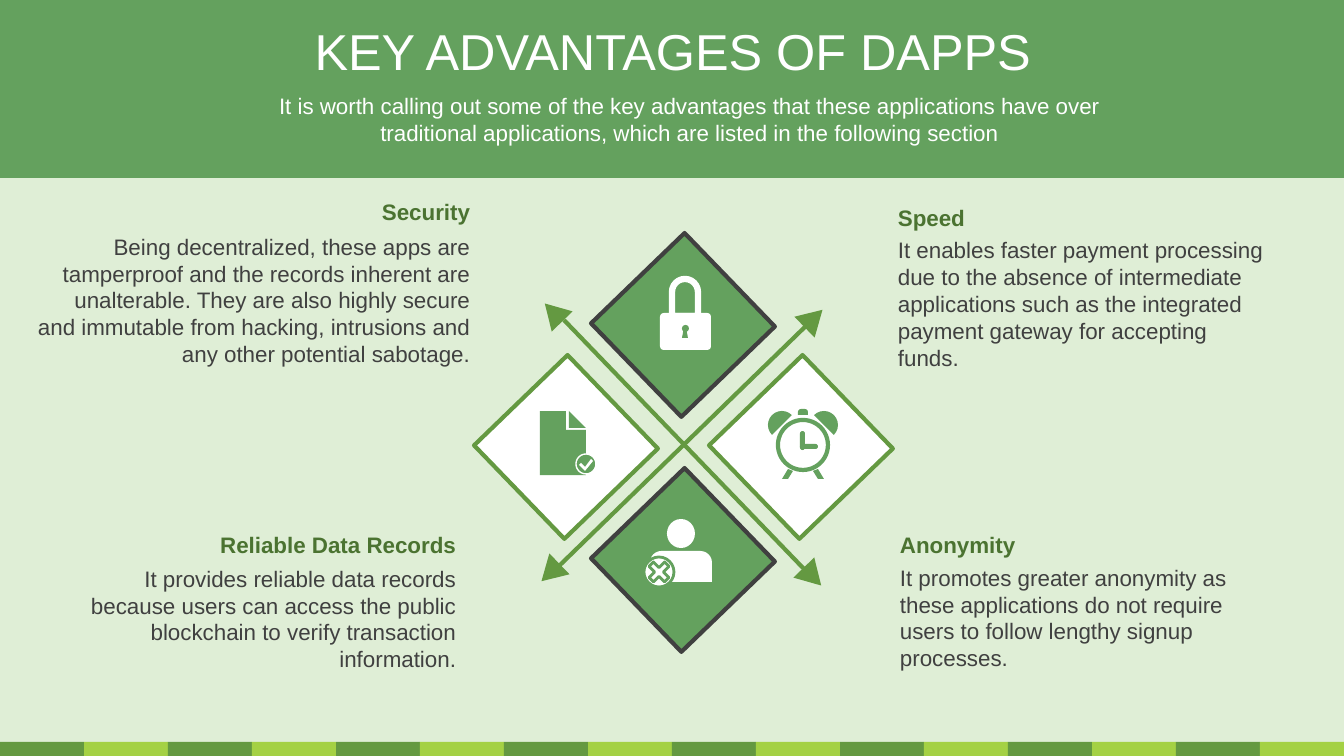
from lxml.etree import SubElement
from pptx import Presentation
from pptx.dml.color import RGBColor
from pptx.enum.shapes import MSO_CONNECTOR, MSO_SHAPE as KIND
from pptx.enum.text import MSO_ANCHOR, PP_ALIGN as ALIGN
from pptx.oxml.ns import qn
from pptx.util import Pt

PX = 12192000 / 1344
GREEN, LEAF, LIME, WHITE = "64A15E", "649941", "A4D144", "FFFFFF"
DARK, HEADING = "404040", "4B7331"
color = RGBColor.from_string

presentation = Presentation()
presentation.slide_width = round(1344 * PX)
presentation.slide_height = round(756 * PX)
slide = presentation.slides.add_slide(presentation.slide_layouts[6])
slide.background.fill.solid()
slide.background.fill.fore_color.rgb = color("DFEED6")


def add_figure(outline, fill, line=None, weight=0, rotation=0, adjust=()):
    """Outline is (kind, left, top, width, height) or a list of corner points."""
    if isinstance(outline, list):
        builder = slide.shapes.build_freeform(*outline[0], scale=PX)
        builder.add_line_segments(outline[1:])
        shape = builder.convert_to_shape()
    else:
        kind, *box = outline
        shape = slide.shapes.add_shape(kind, *[round(n * PX) for n in box])
    shape.shadow.inherit = False
    shape.rotation = rotation
    shape.fill.solid()
    shape.fill.fore_color.rgb = color(fill)
    if line:
        shape.line.color.rgb = color(line)
        shape.line.width = Pt(weight)
    else:
        shape.line.fill.background()
    for index, value in enumerate(adjust):
        shape.adjustments[index] = value


def add_text(text, box, size, fill, align, bold=False, before=0):
    textbox = slide.shapes.add_textbox(*[round(n * PX) for n in box])
    frame = textbox.text_frame
    frame.word_wrap = True
    frame.vertical_anchor = MSO_ANCHOR.MIDDLE
    paragraph = frame.paragraphs[0]
    paragraph.text = text
    paragraph.alignment = align
    paragraph.space_before = Pt(before)
    paragraph.font.name = "Arial"
    paragraph.font.size = Pt(size)
    paragraph.font.bold = bold
    paragraph.font.color.rgb = color(fill)


# Striped footer
for index in range(16):
    add_figure((KIND.RECTANGLE, index * 84, 742, 84, 15), LIME if index % 2 else LEAF)

# Diamonds
for center_x, center_y, fill, line in [
    (683, 325, GREEN, DARK),
    (801, 447, WHITE, LEAF),
    (566, 447, WHITE, LEAF),
    (683, 560, GREEN, DARK),
]:
    add_figure((KIND.RECTANGLE, center_x - 65, center_y - 65, 130, 130), fill, line, 3, 46)

# Crossing arrows
for ends in [(564, 320, 804, 569), (560, 565, 808, 324)]:
    connector = slide.shapes.add_connector(
        MSO_CONNECTOR.STRAIGHT, *[round(n * PX) for n in ends])
    connector.line.color.rgb = color(LEAF)
    connector.line.width = Pt(3)
    SubElement(connector._element.spPr, qn("a:effectLst"))
for left, top, rotation in [(799, 306, 46), (798, 564, 136), (536, 560, 226), (539, 300, 316)]:
    add_figure((KIND.ISOSCELES_TRIANGLE, left, top, 29, 25), LEAF, rotation=rotation)

# Advantages: heading and description
for heading, heading_box, body, body_box, align in [
    ("Anonymity", (890, 526, 390, 37),
     "It promotes greater anonymity as these applications do not require users "
     "to follow lengthy signup processes.",
     (890, 543, 390, 149), ALIGN.LEFT),
    ("Speed", (888, 199, 390, 37),
     "It enables faster payment processing due to the absence of intermediate applications "
     "such as the integrated payment gateway for accepting funds.",
     (888, 237, 390, 133), ALIGN.LEFT),
    ("Security", (28, 193, 452, 37),
     "Being decentralized, these apps are tamperproof and the records inherent are "
     "unalterable. They are also highly secure and immutable from hacking, intrusions "
     "and any other potential sabotage.",
     (28, 225, 452, 150), ALIGN.RIGHT),
    ("Reliable Data Records", (76, 526, 390, 37),
     "It provides reliable data records because users can access the public blockchain "
     "to verify transaction information.",
     (76, 559, 390, 119), ALIGN.RIGHT),
]:
    add_text(body, body_box, 16, DARK, align)
    add_text(heading, heading_box, 16, HEADING, align, bold=True)

# Padlock icon
add_figure((KIND.ROUND_2_SAME_RECTANGLE, 672, 279, 26, 37), GREEN, WHITE, 4.5, adjust=(0.5, 0))
add_figure((KIND.ROUNDED_RECTANGLE, 660, 313, 51, 37), WHITE, adjust=(0.1,))
add_figure((KIND.OVAL, 682, 325, 7, 7), GREEN)
add_figure((KIND.TRAPEZOID, 682, 330, 6, 8), GREEN)

# Alarm clock icon
for leg in [
    [(788, 469), (793, 471), (788, 479), (782, 479)],
    [(818, 469), (813, 471), (818, 479), (824, 479)],
]:
    add_figure(leg, GREEN)
add_figure((KIND.CHORD, 768, 411, 28, 28), GREEN, adjust=(81, 189))
add_figure((KIND.CHORD, 810, 411, 28, 28), GREEN, adjust=(135, 27))
add_figure((KIND.ROUND_2_SAME_RECTANGLE, 798, 409, 10, 6), GREEN, adjust=(0.5, 0))
add_figure((KIND.OVAL, 778, 420, 50, 50), WHITE, GREEN, 3)
for hand in [(800, 431, 5, 19), (800, 444, 18, 5)]:
    add_figure((KIND.ROUNDED_RECTANGLE, *hand), GREEN, adjust=(0.5,))

# Anonymous user icon
add_figure((KIND.OVAL, 667, 519, 28, 29), WHITE)
add_figure((KIND.ROUND_2_SAME_RECTANGLE, 650, 551, 62, 31), WHITE, adjust=(0.37, 0))
add_figure((KIND.OVAL, 644, 557, 30, 30), WHITE, GREEN, 2)
add_figure((KIND.CROSS, 648, 561, 22, 22), WHITE, GREEN, 2, 45, (0.36,))

# Verified document icon
add_figure([(540, 411), (566, 411), (566, 430), (586, 430), (586, 475), (540, 475)], GREEN)
add_figure([(569, 411), (586, 428), (569, 428)], GREEN)
add_figure((KIND.OVAL, 576, 454, 20, 20), GREEN, WHITE, 1)
add_figure([(591, 459), (585, 467), (581, 463), (579, 465), (585, 471), (593, 461)], WHITE)

# Header band
add_figure((KIND.RECTANGLE, 0, 0, 1344, 178), GREEN)
add_text("It is worth calling out some of the key advantages that these applications have over "
         "traditional applications, which are listed in the following section",
         (230, 89, 919, 60), 16, WHITE, ALIGN.CENTER, before=3)
add_text("KEY ADVANTAGES OF DAPPS", (1, 8, 1344, 85), 36, WHITE, ALIGN.CENTER, before=7)

presentation.save("out.pptx")
